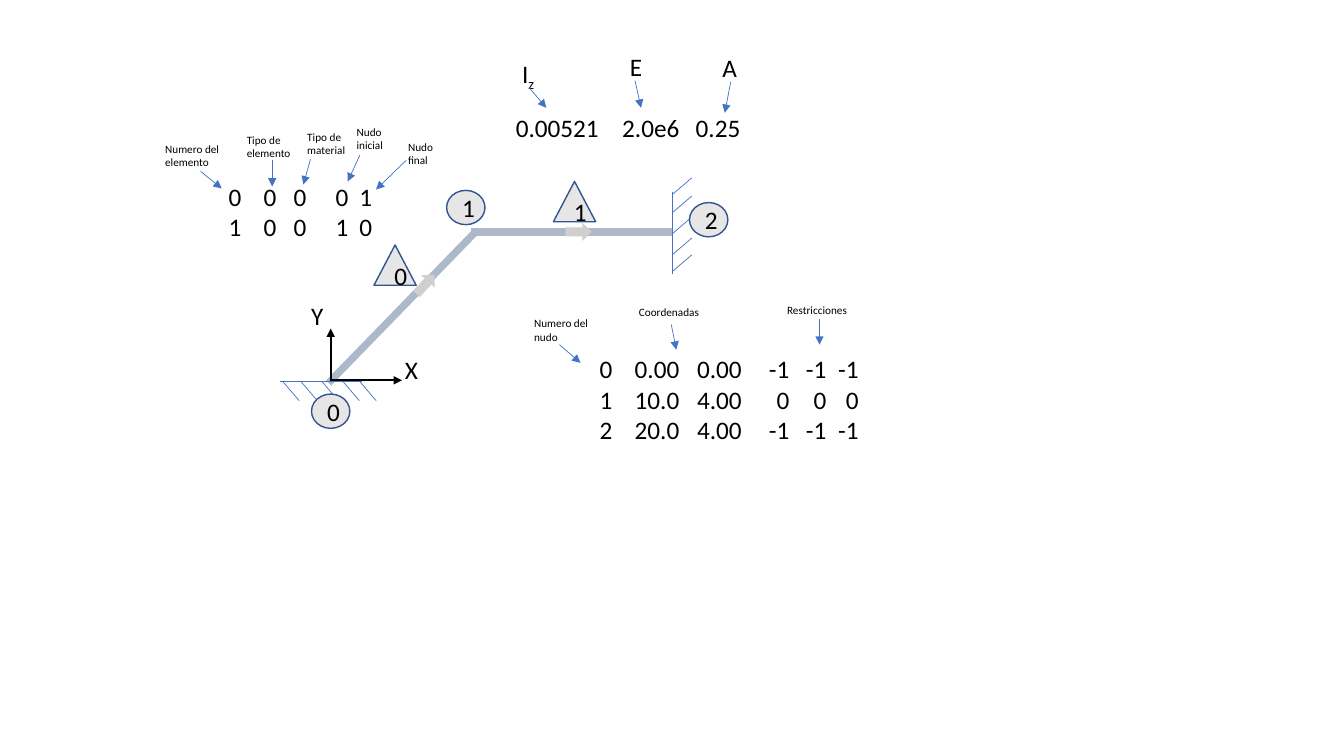
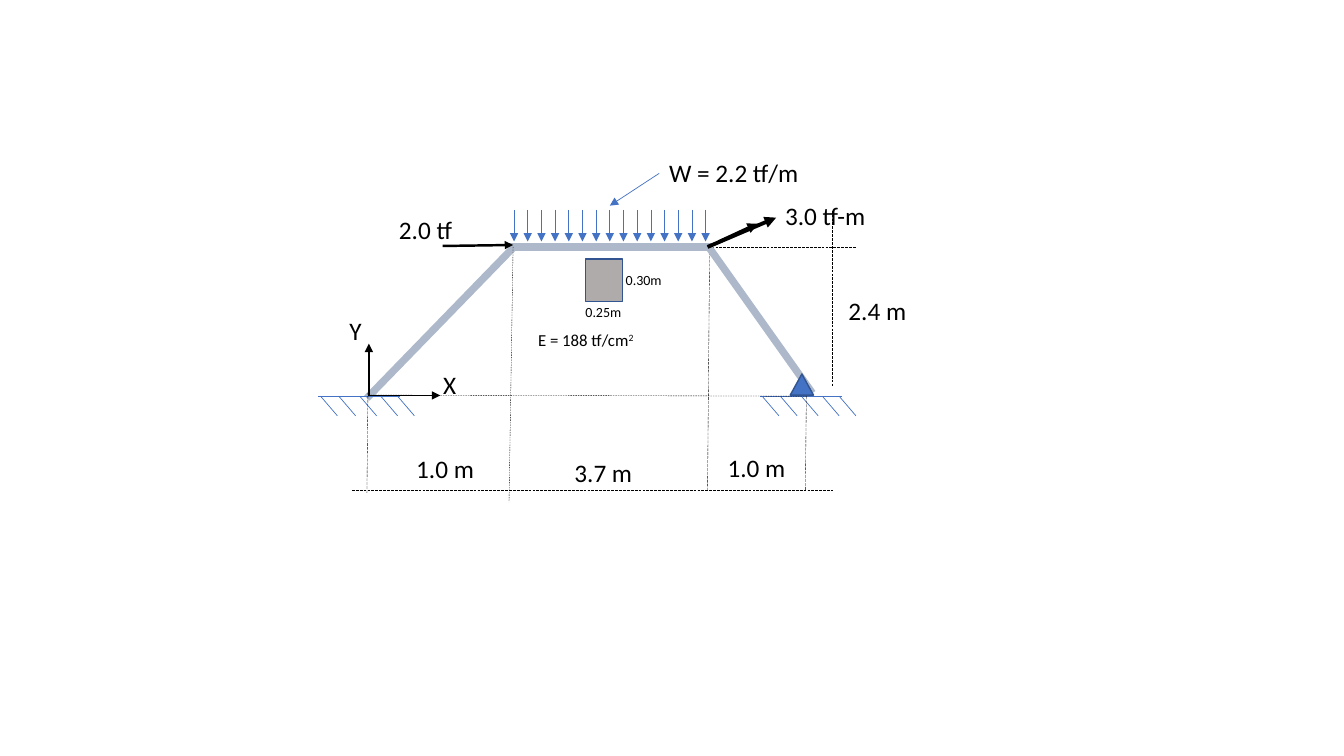
from dataclasses import dataclass
from typing import Any, Optional

from lxml.etree import SubElement
from pptx import Presentation
from pptx.dml.color import RGBColor
from pptx.enum.dml import MSO_LINE
from pptx.enum.shapes import MSO_CONNECTOR, MSO_SHAPE
from pptx.enum.text import MSO_ANCHOR, MSO_AUTO_SIZE, PP_ALIGN
from pptx.oxml.ns import qn
from pptx.slide import Slide
from pptx.util import Pt

# Shared look
FONT = "Calibri"
BLACK, BLUE, OUTLINE = "000000", "4472C4", "325491"
MEMBER, MARKER, DIRECTION, SECTION = "ADB9CA", "E7E6E6", "D0CECE", "AFABAB"
HATCH_OFFSETS = (1.5, 14.5, 29.5, 44.5, 56.5)
HATCH_RUN, HATCH_DEPTH, SUPPORT_LENGTH = 12, 14, 58.5
Segment = tuple[float, float, float, float]


@dataclass(frozen=True)
class Stroke:
    color: str
    width: float
    arrow: bool = False
    dash: Optional[MSO_LINE] = None


BAR = Stroke(MEMBER, 5.25)
THIN = Stroke(BLUE, 0.5)
POINTER = Stroke(BLUE, 0.5, arrow=True)
AXIS = Stroke(BLACK, 1.25, arrow=True)
LONG_DASH = Stroke(BLACK, 0.25, dash=MSO_LINE.LONG_DASH)
SHORT_DASH = Stroke(BLACK, 0.25, dash=MSO_LINE.DASH)


@dataclass(frozen=True)
class Label:
    text: str
    left: float
    top: float
    width: float
    height: float = 28.8
    size: float = 18
    wrap: bool = False
    script: str = ""
    baseline: int = 0
    pointer: Optional[Segment] = None


@dataclass(frozen=True)
class Rows:
    lines: tuple[str, ...]
    left: float
    top: float
    width: float
    height: float
    tabs: tuple[float, ...]
    align: str = "l"
    wrap: bool = True


@dataclass(frozen=True)
class Figure:
    kind: MSO_SHAPE
    left: float
    top: float
    width: float
    height: float
    fill: str
    outlined: bool = True
    text: str = ""
    rotation: float = 0


def rgb(value: str) -> RGBColor:
    return RGBColor.from_string(value)


def apply_format(target: Any, values: dict[str, Any]) -> None:
    for name, value in values.items():
        setattr(target, name, value)


def add_run(paragraph: Any, text: str, size: float = 18, baseline: int = 0) -> None:
    run = paragraph.add_run()
    run.text = text
    apply_format(run.font, {"name": FONT, "size": Pt(size)})
    run.font.color.rgb = rgb(BLACK)
    if baseline:
        run._r.get_or_add_rPr().set("baseline", str(baseline * 1000))


def draw_line(slide: Slide, segment: Segment, stroke: Stroke) -> None:
    connector = slide.shapes.add_connector(
        MSO_CONNECTOR.STRAIGHT, *(Pt(value) for value in segment))
    line = connector.line
    line.color.rgb = rgb(stroke.color)
    line.width = Pt(stroke.width)
    if stroke.dash is not None:
        line.dash_style = stroke.dash
    if stroke.arrow:
        SubElement(line._get_or_add_ln(), qn("a:tailEnd"), type="triangle")
    SubElement(connector._element.spPr, qn("a:effectLst"))


def add_text_frame(slide: Slide, item: Any) -> Any:
    box = slide.shapes.add_textbox(
        Pt(item.left), Pt(item.top), Pt(item.width), Pt(item.height))
    apply_format(box.text_frame, {
        "word_wrap": item.wrap, "auto_size": MSO_AUTO_SIZE.SHAPE_TO_FIT_TEXT})
    return box.text_frame


def draw_label(slide: Slide, label: Label) -> None:
    paragraph = add_text_frame(slide, label).paragraphs[0]
    add_run(paragraph, label.text, label.size)
    if label.script:
        add_run(paragraph, label.script, label.size, label.baseline)
    if label.pointer:
        draw_line(slide, label.pointer, POINTER)


def draw_rows(slide: Slide, rows: Rows) -> None:
    frame = add_text_frame(slide, rows)
    for index, line in enumerate(rows.lines):
        paragraph = frame.add_paragraph() if index else frame.paragraphs[0]
        tab_list = SubElement(paragraph._p.get_or_add_pPr(), qn("a:tabLst"))
        for position in rows.tabs:
            SubElement(tab_list, qn("a:tab"), pos=str(int(Pt(position))), algn=rows.align)
        add_run(paragraph, "\t".join(line.split()))


def draw_figure(slide: Slide, figure: Figure) -> None:
    shape = slide.shapes.add_shape(
        figure.kind, Pt(figure.left), Pt(figure.top), Pt(figure.width), Pt(figure.height))
    shape.shadow.inherit = False
    shape.rotation = figure.rotation
    shape.fill.solid()
    shape.fill.fore_color.rgb = rgb(figure.fill)
    if figure.outlined:
        shape.line.color.rgb = rgb(OUTLINE)
        shape.line.width = Pt(1)
    else:
        shape.line.fill.background()
    if figure.text:
        shape.text_frame.vertical_anchor = MSO_ANCHOR.MIDDLE
        paragraph = shape.text_frame.paragraphs[0]
        paragraph.alignment = PP_ALIGN.CENTER
        add_run(paragraph, figure.text)


# Structural parts
def draw_members(slide: Slide, x: float, y: float) -> None:
    draw_line(slide, (x, y, x + 105, y - 108), BAR)
    draw_line(slide, (x + 101.5, y - 108, x + 245.5, y - 108), BAR)


def draw_ground(slide: Slide, left: float, y: float) -> None:
    draw_line(slide, (left + SUPPORT_LENGTH, y, left, y), THIN)
    for offset in HATCH_OFFSETS:
        x = left + offset
        draw_line(slide, (x + HATCH_RUN, y + HATCH_DEPTH, x, y), THIN)


def draw_wall(slide: Slide, x: float, top: float) -> None:
    draw_line(slide, (x, top, x, top + SUPPORT_LENGTH), THIN)
    for offset in HATCH_OFFSETS:
        y = top + offset
        draw_line(slide, (x + HATCH_DEPTH, y - HATCH_RUN, x, y), THIN)


def draw_axes(slide: Slide, x: float, y: float) -> None:
    draw_line(slide, (x, y - 0.5, x + 51, y - 0.5), AXIS)
    draw_line(slide, (x, y, x, y - 37.5), AXIS)
    draw_label(slide, Label("X", x + 46, y - 22.7, 23.8))
    draw_label(slide, Label("Y", x - 21, y - 61.5, 23.8))


def node(text: str, left: float, top: float) -> Figure:
    return Figure(MSO_SHAPE.OVAL, left, top, 27.4, 24.5, MARKER, text=text)


def element(text: str, left: float, top: float) -> Figure:
    return Figure(MSO_SHAPE.ISOSCELES_TRIANGLE, left, top, 30.2, 28.8, MARKER, text=text)


def direction(left: float, top: float, rotation: float = 0) -> Figure:
    return Figure(MSO_SHAPE.RIGHT_ARROW, left, top, 18.7, 13, DIRECTION,
                  outlined=False, rotation=rotation)


def note(text: str, left: float, top: float, width: float,
         pointer: Segment, height: float = 26.6) -> Label:
    return Label(text, left, top, width, height, size=8, wrap=True, pointer=pointer)


MODEL_FIGURES = (
    node("0", 222.5, 281.5), node("1", 319, 136), node("2", 492.5, 144.7),
    element("0", 267.1, 175), element("1", 395.3, 129.6),
    direction(294.5, 196.6, 312.6), direction(403.9, 159.1),
)
MODEL_LABELS = (
    Label("I", 365.8, 38.2, 23.8, script="z", baseline=-25, pointer=(378, 62.6, 390.2, 77)),
    Label("E", 442.8, 33.1, 23.8, pointer=(453.6, 57.6, 457.9, 77)),
    Label("A", 509, 33.8, 25.2, pointer=(522, 58.3, 517.7, 80.6)),
    note("Numero del elemento", 110.9, 97.9, 54.7, (143.3, 122.4, 158.4, 134.6)),
    note("Tipo de elemento", 169.2, 91.4, 54.7, (194.4, 114.5, 194.4, 133.2)),
    note("Tipo de material", 212.4, 89.3, 43.2, (221.8, 113.8, 216.7, 131.8)),
    note("Nudo inicial", 247.7, 85.7, 40.3, (257, 110.9, 248.4, 129.6)),
    note("Nudo final", 284.4, 96.5, 40.3, (290.2, 114.5, 268.6, 135.4)),
    note("Numero del nudo", 374.4, 222.5, 61.2, (399.6, 246.2, 414.7, 259.2)),
    note("Coordenadas", 449.3, 214.6, 73.4, (479.5, 231.8, 483.1, 249.8), 17.3),
    note("Restricciones", 555.1, 213.1, 80.6, (585.4, 228.2, 585.4, 246.2), 17.3),
)
MODEL_ROWS = (
    Rows(("0.00521 2.0e6 0.25",), 361.4, 77, 177.1, 28.8, (76, 128.5), wrap=False),
    Rows(("0 0 0 0 1", "1 0 0 1 0"), 156.2, 126, 205.2, 72.7, (25, 46.5, 76.5, 93.5)),
    Rows(("0 0.00 0.00 -1 -1 -1", "1 10.0 4.00 0 0 0", "2 20.0 4.00 -1 -1 -1"),
         421.2, 249.1, 282.2, 116.6, (57, 101.5, 135.5, 162, 185), align="r"),
)


def build_model_slide(slide: Slide) -> None:
    draw_members(slide, 234.7, 273.6)
    draw_wall(slide, 480.2, 137.5)
    draw_ground(slide, 200.2, 272.2)
    draw_axes(slide, 236.2, 272.2)
    for figure in MODEL_FIGURES:
        draw_figure(slide, figure)
    for rows in MODEL_ROWS:
        draw_rows(slide, rows)
    for label in MODEL_LABELS:
        draw_label(slide, label)


GUIDES = (
    ((506.9, 177.1, 505.4, 350.6), LONG_DASH),
    ((262.1, 352.1, 262.8, 280.8), LONG_DASH),
    ((251.3, 349.9, 594.7, 349.9), LONG_DASH),
    ((366.5, 176.4, 363.6, 358.6), SHORT_DASH),
    ((262.8, 282.2, 576.7, 283), SHORT_DASH),
    ((508.3, 176.4, 611.3, 176.4), LONG_DASH),
    ((594.7, 150.5, 594.7, 276.5), LONG_DASH),
    ((575.3, 349.9, 576, 278.6), LONG_DASH),
)
POINT_LOADS = (
    ((316.1, 175.7, 366.5, 175), Stroke(BLACK, 1.75, arrow=True)),
    ((505.4, 176.4, 554.4, 155.5), Stroke(BLACK, 2.75, arrow=True)),
    ((513.4, 172.8, 541.4, 159.8), Stroke(BLACK, 2.5, arrow=True)),
)
FRAME_LABELS = (
    Label("W = 2.2 tf/m", 470.9, 108.7, 110.2, wrap=True,
          pointer=(470.9, 123.8, 435.6, 146.9)),
    Label("1.0 m", 290.2, 320.4, 56.2),
    Label("3.7 m", 403.2, 323.3, 56.2),
    Label("1.0 m", 512.6, 319.7, 56.2),
    Label("2.4 m", 599, 207.4, 56.2),
    Label("0.30m", 439.9, 190.1, 40.3, 19.4, size=10),
    Label("0.25m", 411.1, 213.1, 40.3, 19.4, size=10),
    Label("E = 188 tf/cm", 377.3, 231.8, 84.2, 21.6, size=12, script="2", baseline=30),
    Label("2.0 tf", 277.9, 149.8, 59.8, wrap=True),
    Label("3.0 tf-m", 553.7, 139.7, 105.8, wrap=True),
)
LOAD_COUNT, LOAD_LEFT, LOAD_RIGHT = 15, 367.2, 504


def build_frame_slide(slide: Slide) -> None:
    draw_members(slide, 262.1, 284.4)
    # Distributed load
    gap = (LOAD_RIGHT - LOAD_LEFT) / (LOAD_COUNT - 1)
    for index in range(LOAD_COUNT):
        x = LOAD_LEFT + index * gap
        draw_line(slide, (x, 150, x, 172.5), POINTER)
    # Supports, dimensions and axes
    for left in (542.9, 227.5):
        draw_ground(slide, left, 283)
    for segment, stroke in GUIDES:
        draw_line(slide, segment, stroke)
    draw_axes(slide, 263.5, 283)
    # Cross-section and pinned leg
    draw_figure(slide, Figure(MSO_SHAPE.RECTANGLE, 418.3, 185, 26.6, 30.2, SECTION))
    draw_line(slide, (580.3, 280.8, 506.2, 176.4), BAR)
    draw_figure(slide, Figure(MSO_SHAPE.ISOSCELES_TRIANGLE, 564.5, 267.1, 16.6, 15.1, BLUE))
    for segment, stroke in POINT_LOADS:
        draw_line(slide, segment, stroke)
    for label in FRAME_LABELS:
        draw_label(slide, label)


presentation = Presentation()
apply_format(presentation, {"slide_width": Pt(960), "slide_height": Pt(540)})
for build in (build_model_slide, build_frame_slide):
    build(presentation.slides.add_slide(presentation.slide_layouts[6]))
presentation.save("out.pptx")
